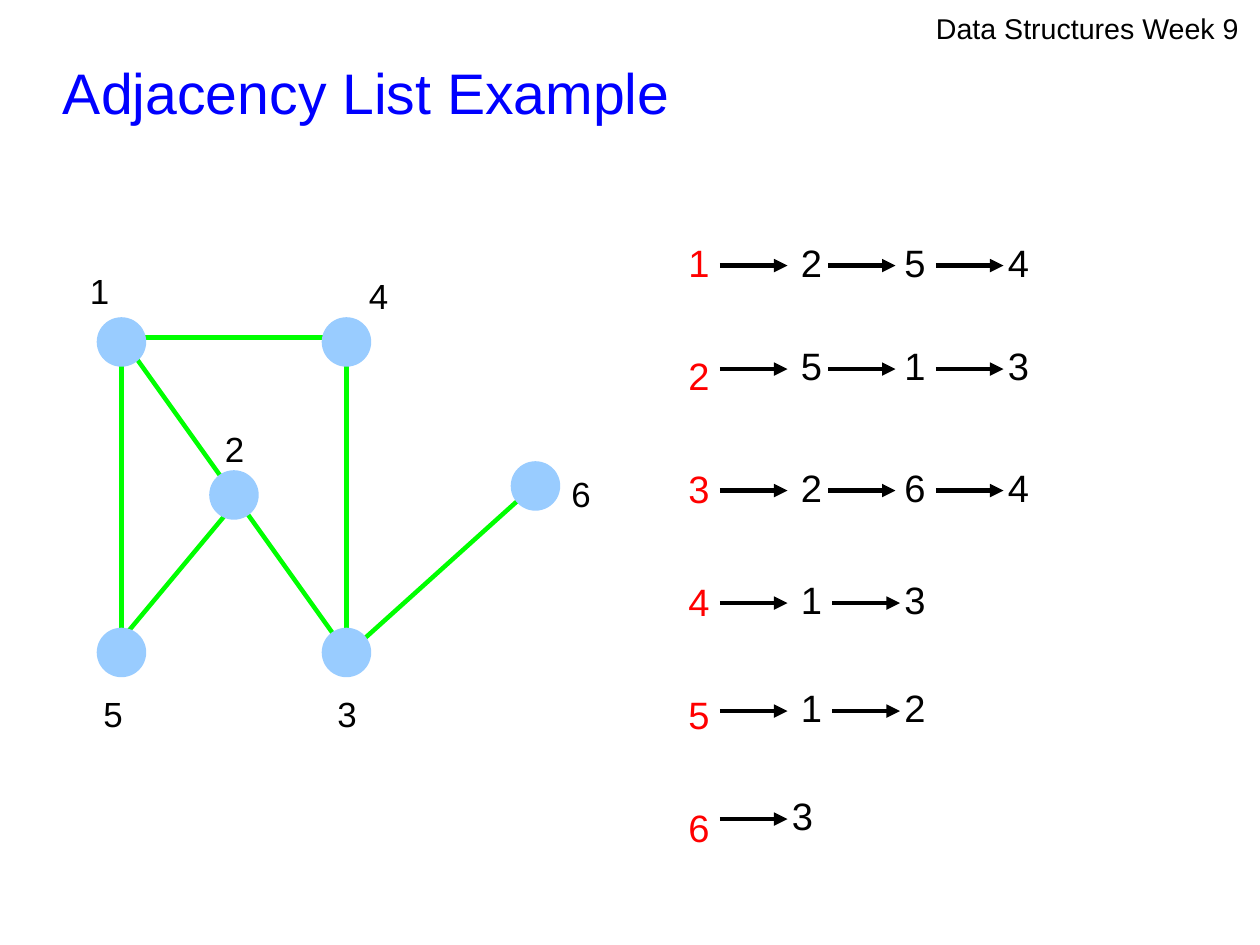
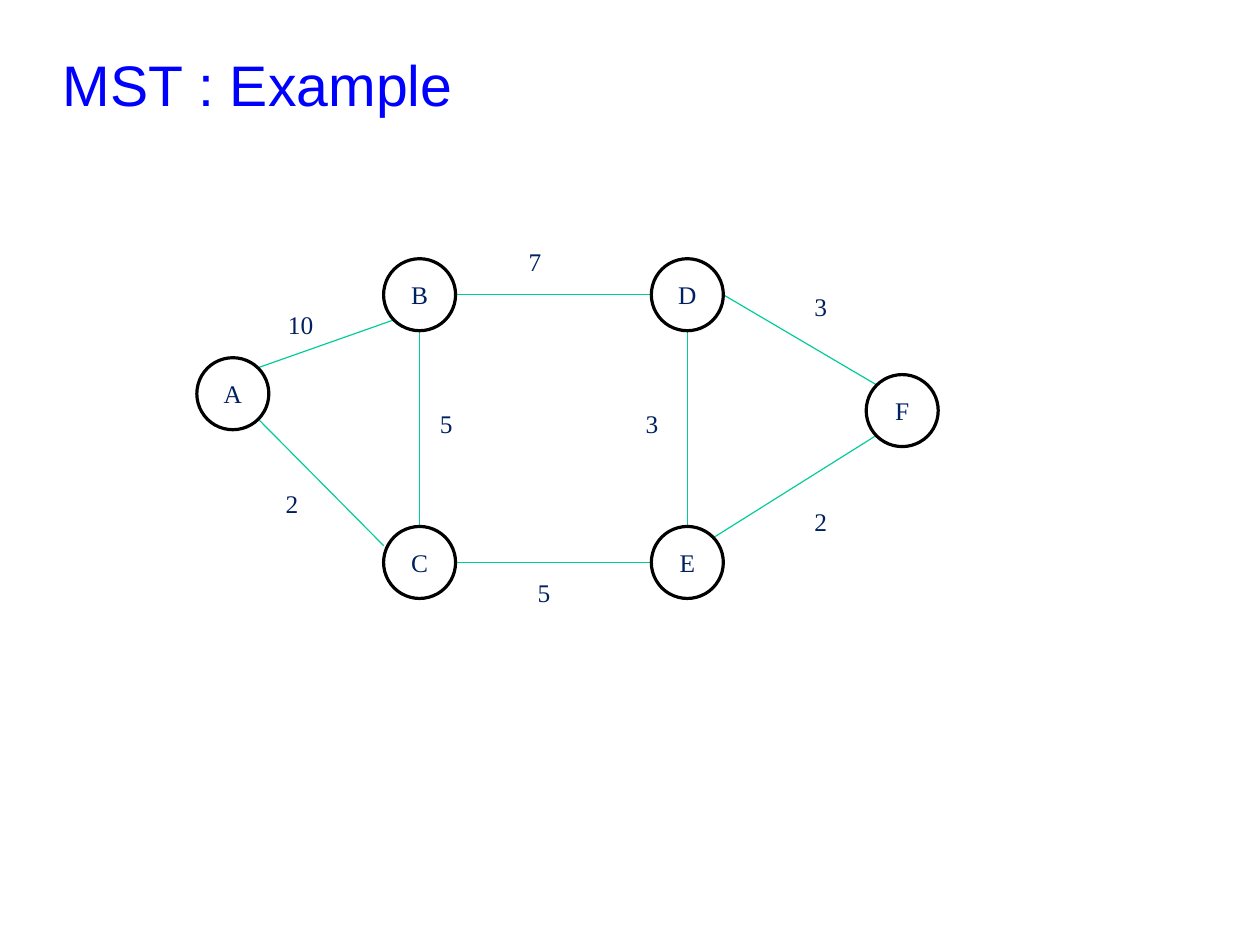
"""Build two graph slides: an adjacency list example and a spanning tree example."""
from collections import namedtuple

from lxml import etree
from pptx import Presentation
from pptx import util as u
from pptx.dml.color import RGBColor
from pptx.enum import shapes, text
from pptx.oxml.ns import qn

PX = 9000

Style = namedtuple("Style", "size font colour margins spacing")
Stroke = namedtuple("Stroke", "colour width")
Node = namedtuple("Node", "fill stroke diameter")


class Theme:
    title = Style(36, "Arial", "0000FF", (0, 0), 1)
    header = Style(18, "Arial", "000000", (0, 0), 1)
    vertex = Style(22, "Arial", "000000", (12, 7), 1.24)
    head = Style(24, "Arial", "FF0000", (12, 7), 1.24)
    neighbour = Style(24, "Arial", "000000", (12, 7), 1.24)
    weight = Style(16, "Times New Roman", "002060", (10, 5), 1)
    green_edge = Stroke("00FF00", 2.83)
    teal_edge = Stroke("00CC98", 0.75)
    pointer = Stroke("000000", 2.83)
    blue_node = Node("99CCFF", Stroke("99CCFF", 2.83), 40)
    white_node = Node("FFFFFF", Stroke("000000", 2), 64)


def write(shape, lines, style, align=text.PP_ALIGN.LEFT,
          anchor=text.MSO_ANCHOR.TOP, gap=0):
    """Fill a shape with one styled paragraph per line."""
    frame = shape.text_frame
    frame.auto_size = text.MSO_AUTO_SIZE.NONE
    frame.word_wrap = True
    frame.vertical_anchor = anchor
    frame.margin_left = frame.margin_right = style.margins[0] * PX
    frame.margin_top = frame.margin_bottom = style.margins[1] * PX
    for index, line in enumerate(lines):
        paragraph = frame.add_paragraph() if index else frame.paragraphs[0]
        paragraph.alignment = align
        paragraph.line_spacing = style.spacing
        paragraph.space_before = u.Pt(0)
        paragraph.space_after = u.Pt(gap)
        run = paragraph.add_run()
        run.text = line
        run.font.size = u.Pt(style.size)
        run.font.name = style.font
        run.font.color.rgb = RGBColor.from_string(style.colour)


def draw_line(slide, ends, stroke, arrow=False):
    """Draw a straight line, with an arrowhead at its end if asked."""
    line = slide.shapes.add_connector(
        shapes.MSO_CONNECTOR.STRAIGHT, *(end * PX for end in ends))
    line.line.color.rgb = RGBColor.from_string(stroke.colour)
    line.line.width = u.Pt(stroke.width)
    properties = line.element.spPr
    if arrow:
        etree.SubElement(properties.find(qn("a:ln")), qn("a:tailEnd"), type="triangle")
    etree.SubElement(properties, qn("a:effectLst"))


deck = Presentation()
deck.slide_width, deck.slide_height = 1120 * PX, 840 * PX

slides = []
for heading, spacing in (("Adjacency List Example", 1.24), ("MST : Example", 1)):
    slide = deck.slides.add_slide(deck.slide_layouts[5])
    title = slide.shapes.title
    title.left, title.top, title.width, title.height = (
        side * PX for side in (56, 33, 1004, 83))
    write(title, [heading], Theme.title._replace(spacing=spacing),
          anchor=text.MSO_ANCHOR.MIDDLE)
    slides.append(slide)
adjacency, spanning = slides

adjacency_edges = [
    (108, 320, 108, 560), (128, 300, 308, 300), (100, 578, 220, 434),
    (208, 440, 308, 580), (308, 582, 468, 438), (308, 300, 308, 560),
    (108, 300, 208, 440),
]
adjacency_nodes = [
    ("", 88, 284), ("", 288, 284), ("", 456, 412),
    ("", 288, 560), ("", 88, 560), ("", 188, 420),
]
adjacency_labels = [
    ("1", 68, 224), ("2", 188, 364), ("3", 288, 600),
    ("5", 80, 600), ("4", 316, 228), ("6", 496, 404),
]
spanning_edges = [
    (229, 327, 351, 284), (229, 372, 341, 485), (404, 262, 579, 262),
    (643, 262, 779, 342), (373, 294, 373, 468), (611, 294, 611, 468),
    (634, 478, 779, 387), (404, 500, 579, 500),
]
spanning_nodes = [
    ("A", 175, 318), ("B", 341, 230), ("C", 341, 468),
    ("E", 579, 468), ("D", 579, 230), ("F", 770, 333),
]
spanning_labels = [
    ("10", 246, 270), ("2", 244, 429), ("5", 381, 358), ("7", 460, 214),
    ("3", 564, 358), ("3", 714, 254), ("2", 714, 445), ("5", 468, 508),
]
graphs = [
    (adjacency, adjacency_edges, Theme.green_edge, adjacency_nodes, Theme.blue_node,
     adjacency_labels, Theme.vertex, 44, 60),
    (spanning, spanning_edges, Theme.teal_edge, spanning_nodes, Theme.white_node,
     spanning_labels, Theme.weight, 16, 38),
]
digit_width = 16
for slide, edges, stroke, nodes, look, labels, style, padding, height in graphs:
    for ends in edges:
        draw_line(slide, ends, stroke)
    for name, left, top in nodes:
        node = slide.shapes.add_shape(
            shapes.MSO_SHAPE.OVAL, left * PX, top * PX,
            look.diameter * PX, look.diameter * PX)
        node.shadow.inherit = False
        node.fill.solid()
        node.fill.fore_color.rgb = RGBColor.from_string(look.fill)
        node.line.color.rgb = RGBColor.from_string(look.stroke.colour)
        node.line.width = u.Pt(look.stroke.width)
        if name:
            write(node, [name], style, text.PP_ALIGN.CENTER, text.MSO_ANCHOR.MIDDLE)
    for label, left, top in labels:
        width = padding + digit_width * len(label)
        box = slide.shapes.add_textbox(left * PX, top * PX, width * PX, height * PX)
        write(box, [label], style)

course = adjacency.shapes.add_textbox(832 * PX, 10 * PX, 275 * PX, 33 * PX)
write(course, ["Data Structures Week 9"], Theme.header)

heads = adjacency.shapes.add_textbox(600 * PX, 196 * PX, 60 * PX, 567 * PX)
write(heads, "123456", Theme.head, gap=35.5)

columns = {
    3: [(640, 700), (736, 792), (832, 884)],
    2: [(640, 700), (740, 792)],
    1: [(640, 692)],
}
rows = [(196, "254"), (288, "513"), (396, "264"), (496, "13"), (592, "12"), (688, "3")]
for top, neighbours in rows:
    for vertex, (arrow_left, left) in zip(neighbours, columns[len(neighbours)]):
        middle = top + 40
        draw_line(adjacency, (arrow_left, middle, arrow_left + 60, middle),
                  Theme.pointer, arrow=True)
        cell = adjacency.shapes.add_textbox(left * PX, top * PX, 40 * PX, 64 * PX)
        write(cell, [vertex], Theme.neighbour)

deck.save("out.pptx")
